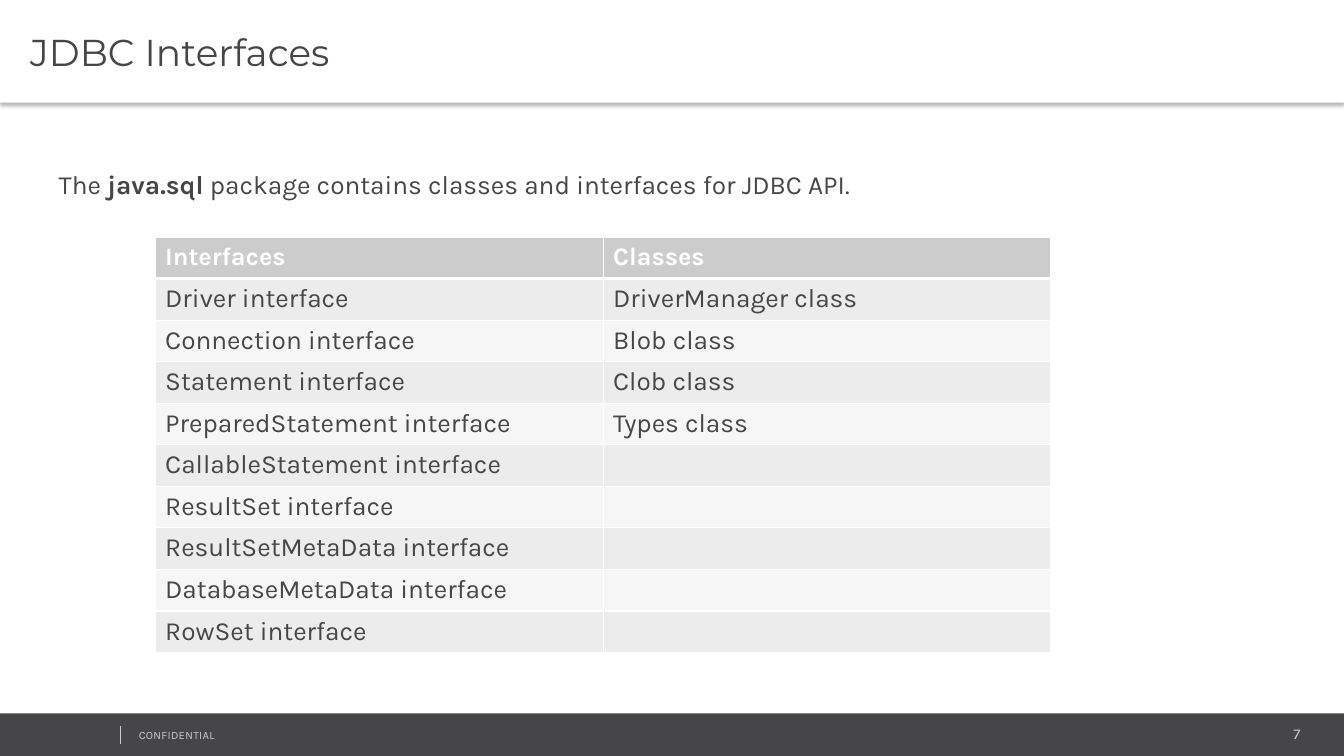
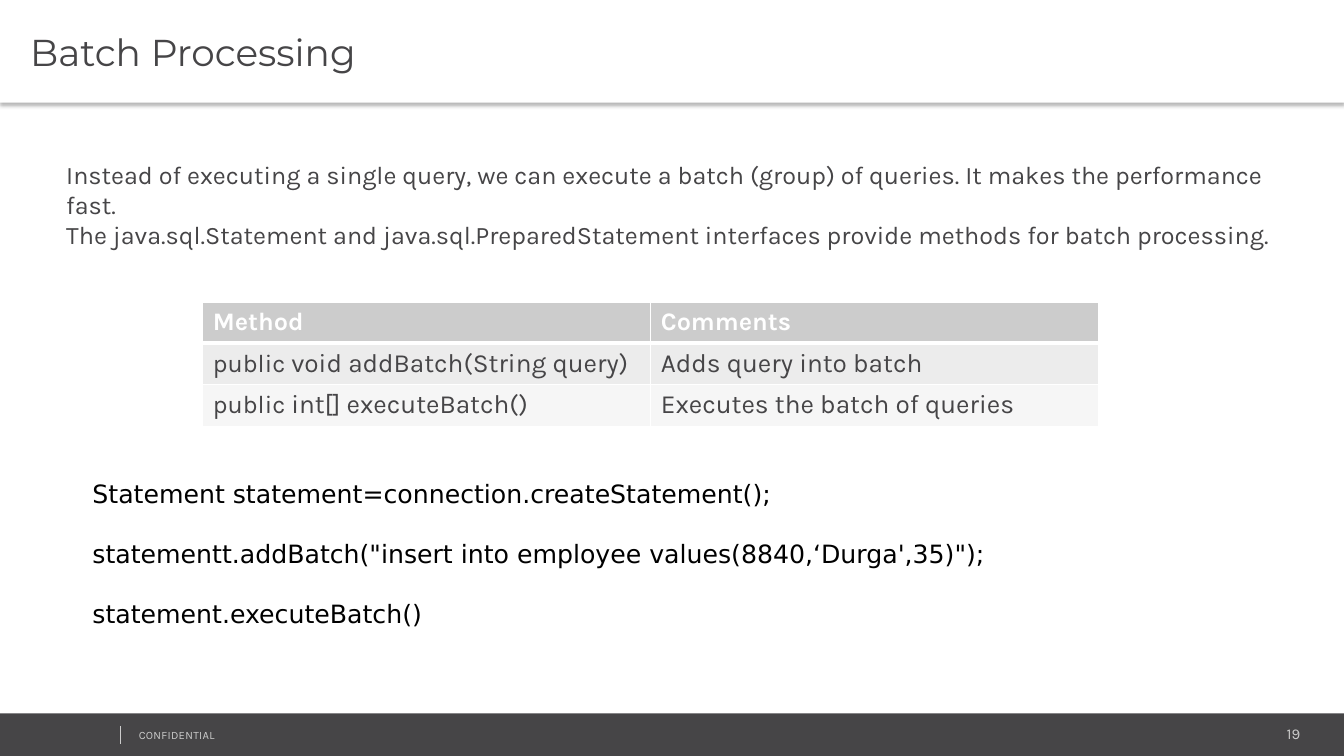
from dataclasses import dataclass

from lxml import etree
from pptx import Presentation
from pptx.dml.color import RGBColor
from pptx.enum.shapes import MSO_CONNECTOR, MSO_SHAPE
from pptx.enum.text import MSO_ANCHOR, PP_ALIGN
from pptx.oxml.ns import qn
from pptx.util import Cm, Pt

RECT = MSO_SHAPE.RECTANGLE
STRAIGHT = MSO_CONNECTOR.STRAIGHT
MIDDLE = MSO_ANCHOR.MIDDLE
TOP = MSO_ANCHOR.TOP
LEFT = PP_ALIGN.LEFT
RIGHT = PP_ALIGN.RIGHT

WHITE = RGBColor(0xFF, 0xFF, 0xFF)
BLACK = RGBColor(0x00, 0x00, 0x00)
CHARCOAL = RGBColor(0x46, 0x45, 0x47)
SILVER = RGBColor(0xCC, 0xCC, 0xCC)
BAND_DARK = RGBColor(0xEC, 0xEC, 0xEC)
BAND_LIGHT = RGBColor(0xF6, 0xF6, 0xF6)

SLIDE_W, SLIDE_H = Cm(33.87), Cm(19.05)
COL_W, ROW_H = Cm(11.29), Cm(1.03)
BODY_SIZE, SMALL_SIZE = 18.7, 18


@dataclass(frozen=True)
class Style:
    size: float
    color: RGBColor = CHARCOAL
    name: str = "Karla"
    bold: bool = False


@dataclass(frozen=True)
class Part:
    text: str
    size: float | None = None
    bold: bool | None = None


@dataclass(frozen=True)
class Box:
    left: float
    top: float
    width: float
    height: float

    def emu(self) -> tuple:
        return Cm(self.left), Cm(self.top), Cm(self.width), Cm(self.height)


Line = str | tuple[Part, ...]

TITLE = Style(26.7, name="Montserrat")
BODY = Style(BODY_SIZE)
INTRO = Style(SMALL_SIZE)
HEADER = Style(SMALL_SIZE, WHITE, bold=True)
CODE = Style(SMALL_SIZE, BLACK, "DejaVu Sans")
PAGE_NO = Style(10.7, SILVER)
FOOTNOTE = Style(8, SILVER)


def write(p, line: Line, style: Style) -> None:
    p.font.size = Pt(style.size)
    p.font.name = style.name
    p.font.bold = style.bold
    p.font.color.rgb = style.color
    parts = (Part(line),) if isinstance(line, str) else line
    for part in parts:
        if not part.text:
            continue
        r = p.add_run()
        r.text = part.text
        if part.size is not None:
            r.font.size = Pt(part.size)
        if part.bold is not None:
            r.font.bold = part.bold


def write_lines(tf, lines: list[Line], style: Style, gap: float = 0,
                spacing: float = 1.0, align=LEFT) -> None:
    tf.word_wrap = True
    for i, line in enumerate(lines):
        p = tf.paragraphs[0] if i == 0 else tf.add_paragraph()
        p.alignment = align
        p.line_spacing = spacing
        p.space_before = Pt(gap if i else 0)
        write(p, line, style)


def add_text(s, box: Box, lines: list[Line], style: Style, gap: float = 0,
             spacing: float = 1.0, align=LEFT):
    tf = s.shapes.add_textbox(*box.emu()).text_frame
    tf.vertical_anchor = TOP
    write_lines(tf, lines, style, gap, spacing, align)
    return tf


def set_insets(tf, left: float, right: float, vertical: float) -> None:
    tf.margin_left, tf.margin_right = Cm(left), Cm(right)
    tf.margin_top = tf.margin_bottom = Cm(vertical)


def add_band(s, box: Box, color: RGBColor):
    sp = s.shapes.add_shape(RECT, *box.emu())
    sp.shadow.inherit = False
    sp.fill.solid()
    sp.fill.fore_color.rgb = color
    sp.line.fill.background()
    return sp


def drop_shadow(sp) -> None:
    effects = sp._element.spPr.find(qn("a:effectLst"))
    shadow = etree.SubElement(
        effects, qn("a:outerShdw"), blurRad=str(Pt(3.1)), dist=str(Pt(2)),
        dir="5400000", algn="t", rotWithShape="0")
    color = etree.SubElement(shadow, qn("a:srgbClr"), val=str(BLACK))
    etree.SubElement(color, qn("a:alpha"), val="30000")


def add_footer(s, number: int) -> None:
    add_band(s, Box(0, 17.98, 33.87, 1.09), CHARCOAL)
    add_text(s, Box(27.48, 18.14, 5.54, 0.71), [str(number)], PAGE_NO,
             align=RIGHT)
    tf = add_text(s, Box(3.25, 18.24, 8.59, 0.61), ["CONFIDENTIAL"], FOOTNOTE)
    for r in tf.paragraphs[0].runs:
        r._r.get_or_add_rPr().set("spc", "20")
    rule = s.shapes.add_connector(STRAIGHT, Cm(3.02), Cm(18.29),
                                  Cm(3.02), Cm(18.75))
    rule.line.color.rgb = SILVER
    rule.line.width = Pt(0.25)
    etree.SubElement(rule._element.spPr, qn("a:effectLst"))


def add_title(s, title: str) -> None:
    sp = add_band(s, Box(0, 0, 33.87, 2.59), WHITE)
    drop_shadow(sp)
    tf = sp.text_frame
    tf.vertical_anchor = MIDDLE
    set_insets(tf, 0.76, 0.18, 0.1)
    write_lines(tf, [title], TITLE)


def new_slide(prs, title: str, number: int):
    s = prs.slides.add_slide(prs.slide_layouts[6])
    s.background.fill.solid()
    s.background.fill.fore_color.rgb = WHITE
    add_footer(s, number)
    add_title(s, title)
    return s


def set_borders(cell, top: float, bottom: float) -> None:
    tc_pr = cell._tc.get_or_add_tcPr()
    widths = {"a:lnL": 1, "a:lnR": 1, "a:lnT": top, "a:lnB": bottom}
    for i, (tag, width) in enumerate(widths.items()):
        ln = etree.Element(qn(tag), w=str(Pt(width)))
        fill = etree.SubElement(ln, qn("a:solidFill"))
        etree.SubElement(fill, qn("a:srgbClr"), val=str(WHITE))
        tc_pr.insert(i, ln)


def add_grid(s, left: float, top: float, rows: list[tuple[Line, Line]]) -> None:
    table = s.shapes.add_table(len(rows), 2, Cm(left), Cm(top), 2 * COL_W,
                               len(rows) * ROW_H).table
    for col in table.columns:
        col.width = COL_W
    for i, row in enumerate(rows):
        table.rows[i].height = ROW_H
        color = SILVER if i == 0 else BAND_DARK if i % 2 else BAND_LIGHT
        for j, line in enumerate(row):
            cell = table.cell(i, j)
            cell.fill.solid()
            cell.fill.fore_color.rgb = color
            set_borders(cell, top=3 if i == 1 else 1, bottom=1 if i else 3)
            write(cell.text_frame.paragraphs[0], line, BODY if i else HEADER)


def build_interfaces(prs) -> None:
    s = new_slide(prs, "JDBC Interfaces", 7)
    intro = (Part("The "), Part("java.sql", bold=True),
             Part(" package contains classes and interfaces for JDBC API."))
    tf = add_text(s, Box(1.3, 3.99, 30.89, 12.52), [intro], BODY, spacing=1.2)
    set_insets(tf, 0.18, 0.18, 0.1)
    add_grid(s, 3.91, 5.99, [
        ("Interfaces", "Classes"),
        ("Driver interface", "DriverManager class"),
        ("Connection interface", "Blob class"),
        ("Statement interface", "Clob class"),
        ("PreparedStatement interface", "Types class"),
        ("CallableStatement interface", ""),
        ("ResultSet interface", ""),
        ("ResultSetMetaData interface", ""),
        ("DatabaseMetaData interface", ""),
        ("RowSet interface", ""),
    ])


def build_batch(prs) -> None:
    s = new_slide(prs, "Batch Processing", 19)
    add_text(s, Box(1.42, 3.89, 30.89, 6.4), [
        "Instead of executing a single query, we can execute a batch (group) "
        "of queries. It makes the performance fast.",
        "The java.sql.Statement and java.sql.PreparedStatement interfaces "
        "provide methods for batch processing.",
    ], INTRO)
    public = Part("public ", size=SMALL_SIZE)
    add_grid(s, 5.11, 7.62, [
        ("Method", "Comments"),
        ((public, Part("void addBatch(String query)")),
         "Adds query into batch"),
        ((public, Part("int[] executeBatch()")),
         "Executes the batch of queries"),
    ])
    add_text(s, Box(2.08, 11.94, 25.6, 4.11), [
        "Statement statement=connection.createStatement();",
        "statementt.addBatch(\"insert into employee values(8840,‘Durga',35)\");",
        "statement.executeBatch()",
    ], CODE, gap=21)


def main() -> None:
    prs = Presentation()
    prs.slide_width, prs.slide_height = SLIDE_W, SLIDE_H
    build_interfaces(prs)
    build_batch(prs)
    prs.save("out.pptx")


if __name__ == "__main__":
    main()
